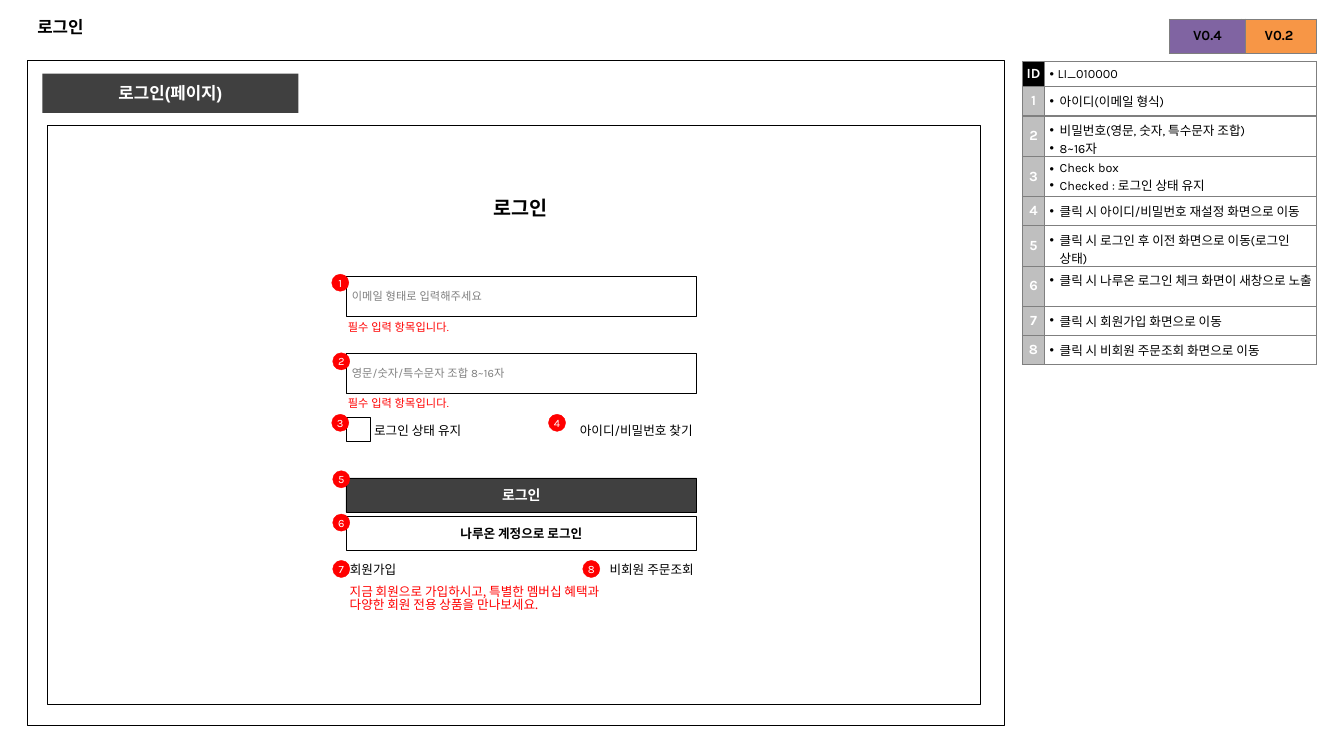
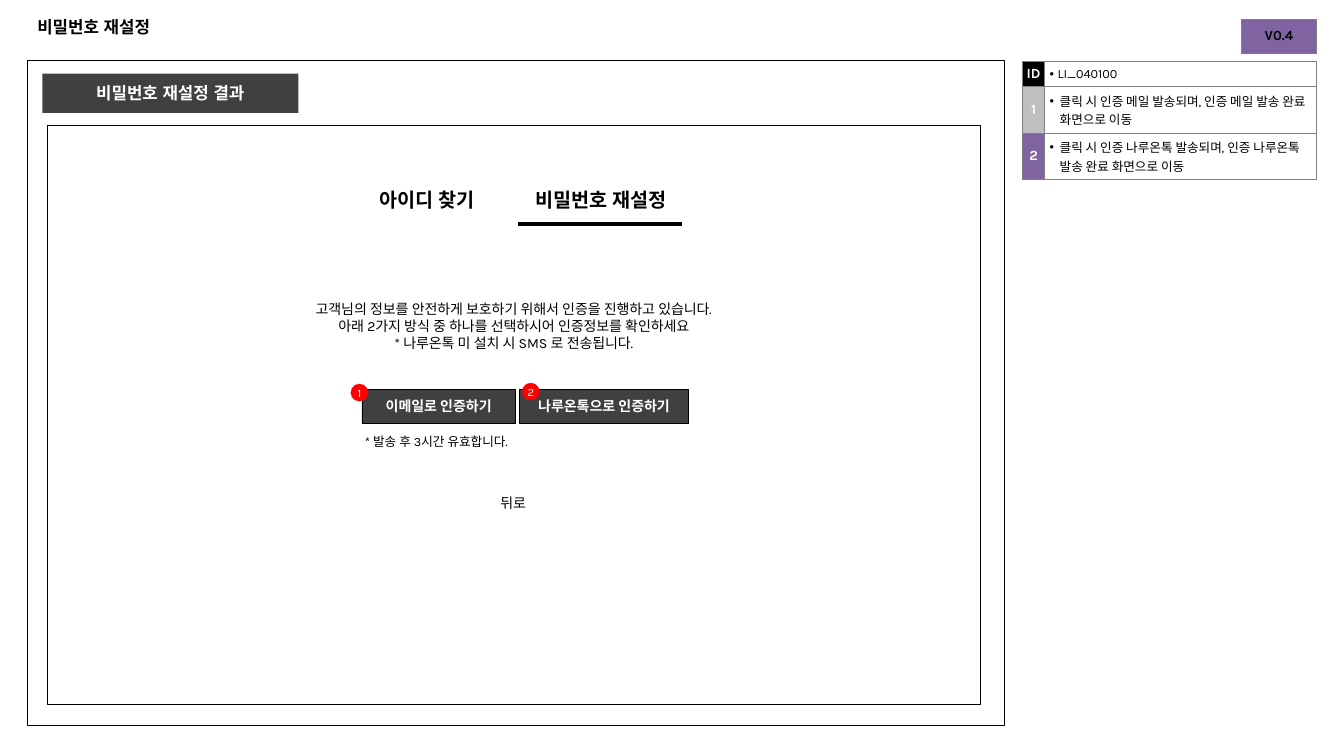
from lxml import etree
from pptx import Presentation
from pptx.dml.color import RGBColor
from pptx.enum.shapes import MSO_CONNECTOR, MSO_SHAPE
from pptx.enum.text import MSO_ANCHOR, MSO_AUTO_SIZE, PP_ALIGN
from pptx.oxml.ns import qn
from pptx.util import Inches, Pt

RECT, OVAL = MSO_SHAPE.RECTANGLE, MSO_SHAPE.OVAL
STRAIGHT = MSO_CONNECTOR.STRAIGHT
LEFT, CENTER, RIGHT = PP_ALIGN.LEFT, PP_ALIGN.CENTER, PP_ALIGN.RIGHT
TOP, MIDDLE = MSO_ANCHOR.TOP, MSO_ANCHOR.MIDDLE

# Palette and fonts
rgb = RGBColor.from_string
BLACK, WHITE, DARK, RED = "000000", "FFFFFF", "404040", "FF0000"
GRAY, SILVER, BORDER = "808080", "BFBFBF", "7F7F7F"
PURPLE, ORANGE = "8064A2", "F79646"
ARIAL, KARLA, NOTO = "Arial", "Karla", "Noto Sans CJK KR"

# Shape styles; a style without a shape is a plain text box
LABEL = dict(size=9, inset=0.04)
BUTTON = dict(shape=RECT, fill=DARK, line=0.25, size=10, color=WHITE, font=NOTO,
              bold=True, align=CENTER, anchor=MIDDLE)
STYLES = {
    "frame": dict(shape=RECT, line=0.75),
    "page": dict(shape=RECT, line=0.25),
    "banner": {**BUTTON, "line": None, "size": 12, "font": ARIAL},
    "heading": dict(size=14, font=ARIAL, bold=True, align=CENTER),
    "field": dict(shape=RECT, line=0.25, size=8, color=GRAY, inset=0.06, anchor=MIDDLE),
    "label": LABEL,
    "label right": {**LABEL, "align": RIGHT},
    "error": {**LABEL, "size": 8, "color": RED},
    "message": {**LABEL, "size": 10, "align": CENTER},
    "promo": dict(size=9, color=RED, font=NOTO, spacing=0.88),
    "button": BUTTON,
    "light button": {**BUTTON, "fill": WHITE, "size": 9, "color": BLACK},
    "tab": {**BUTTON, "fill": WHITE, "line": None, "size": 14, "color": BLACK},
    "badge": dict(shape=OVAL, fill=RED, line=0.25, line_color=RED, size=8,
                  color=WHITE, align=CENTER, anchor=MIDDLE, inset=0),
}

SLIDES = [
    dict(
        title="로그인", banner="로그인(페이지)", id="LI_010000",
        versions=[("V0.2", ORANGE), ("V0.4", PURPLE)],
        # number fill, row height, lines
        notes=[
            (SILVER, 0.29, ["아이디(이메일 형식)"]),
            (SILVER, 0.4, ["비밀번호(영문, 숫자, 특수문자 조합)", "8~16자"]),
            (SILVER, 0.4, ["Check box", "Checked : 로그인 상태 유지"]),
            (SILVER, 0.29, ["클릭 시 아이디/비밀번호 재설정 화면으로 이동"]),
            (SILVER, 0.4, ["클릭 시 로그인 후 이전 화면으로 이동(로그인 상태)"]),
            (SILVER, 0.4, ["클릭 시 나루온 로그인 체크 화면이 새창으로 노출"]),
            (SILVER, 0.29, ["클릭 시 회원가입 화면으로 이동"]),
            (SILVER, 0.29, ["클릭 시 비회원 주문조회 화면으로 이동"]),
        ],
        items=[
            ("heading", 4.22, 1.89, 1.89, 0.34, "로그인"),
            ("field", 3.43, 2.74, 3.48, 0.4, "이메일 형태로 입력해주세요"),
            ("field", 3.43, 3.5, 3.48, 0.4, "영문/숫자/특수문자 조합 8~16자"),
            ("label", 3.67, 4.16, 1.33, 0.26, "로그인 상태 유지"),
            ("page", 3.43, 4.14, 0.24, 0.24, ""),
            ("error", 3.41, 3.14, 1.44, 0.28, "필수 입력 항목입니다."),
            ("error", 3.41, 3.89, 1.44, 0.28, "필수 입력 항목입니다."),
            ("label right", 5.58, 4.16, 1.33, 0.26, "아이디/비밀번호 찾기"),
            ("button", 3.43, 4.74, 3.48, 0.34, "로그인"),
            ("light button", 3.43, 5.12, 3.48, 0.34, "나루온 계정으로 로그인"),
            ("label", 3.43, 5.53, 1.33, 0.26, "회원가입"),
            ("label right", 5.59, 5.53, 1.33, 0.26, "비회원 주문조회"),
            ("promo", 3.37, 5.76, 3.63, 0.4,
             "지금 회원으로 가입하시고, 특별한 멤버십 혜택과\n다양한 회원 전용 상품을 만나보세요."),
        ],
        badges=[(3.29, 2.72), (3.3, 3.5), (3.29, 4.11), (5.44, 4.11),
                (3.3, 4.67), (3.3, 5.1), (3.3, 5.56), (5.78, 5.56)],
        underlines=[],
    ),
    dict(
        title="비밀번호 재설정", banner="비밀번호 재설정 결과", id="LI_040100",
        versions=[("V0.4", PURPLE)],
        notes=[
            (SILVER, 0.46, ["클릭 시 인증 메일 발송되며, 인증 메일 발송 완료 화면으로 이동"]),
            (PURPLE, 0.46, ["클릭 시 인증 나루온톡 발송되며, 인증 나루온톡 발송 완료 화면으로 이동"]),
        ],
        items=[
            ("button", 3.59, 3.86, 1.52, 0.34, "이메일로 인증하기"),
            ("message", 3.35, 4.87, 3.48, 0.31, "뒤로"),
            ("button", 5.15, 3.86, 1.68, 0.34, "나루온톡으로 인증하기"),
            ("label", 3.58, 4.26, 2.33, 0.28, "* 발송 후 3시간 유효합니다."),
            ("message", 2.75, 2.94, 4.69, 0.65,
             "고객님의 정보를 안전하게 보호하기 위해서 인증을 진행하고 있습니다.\v"
             "아래 2가지 방식 중 하나를 선택하시어 인증정보를 확인하세요\n"
             "* 나루온톡 미 설치 시 SMS 로 전송됩니다."),
            ("tab", 3.38, 1.81, 1.71, 0.34, "아이디 찾기"),
            ("tab", 5.09, 1.81, 1.74, 0.34, "비밀번호 재설정"),
        ],
        badges=[(3.48, 3.81), (5.18, 3.8)],
        underlines=[(5.14, 6.76, 2.22)],
    ),
]


def write(tf, text, size, color=BLACK, font=KARLA, bold=False, align=LEFT,
          east_asian=None, spacing=None, indent=None):
    tf.text = text
    for p in tf.paragraphs:
        p.alignment = align
        if spacing:
            p.line_spacing = spacing
        if indent:
            pPr = p._p.get_or_add_pPr()
            pPr.set("marL", str(Inches(indent)))
            pPr.set("indent", str(-Inches(indent)))
            etree.SubElement(pPr, qn("a:buFont")).set("typeface", ARIAL)
            etree.SubElement(pPr, qn("a:buChar")).set("char", "•")
        for r in p.runs:
            r.font.size, r.font.bold, r.font.name = Pt(size), bold, font
            r.font.color.rgb = rgb(color)
            ea = etree.SubElement(r._r.get_or_add_rPr(), qn("a:ea"))
            ea.set("typeface", east_asian or font)


def add_item(s, style, x, y, w, h, text=""):
    st = dict(STYLES[style])
    place = [Inches(v) for v in (x, y, w, h)]
    shape, fill, line = (st.pop(key, None) for key in ("shape", "fill", "line"))
    line_color = st.pop("line_color", BLACK)
    inset, anchor = st.pop("inset", None), st.pop("anchor", TOP)
    if shape is None:
        sp = s.shapes.add_textbox(*place)
    else:
        sp = s.shapes.add_shape(shape, *place)
        sp.shadow.inherit = False
        if fill:
            sp.fill.solid()
            sp.fill.fore_color.rgb = rgb(fill)
        else:
            sp.fill.background()
        if line:
            sp.line.width = Pt(line)
            sp.line.color.rgb = rgb(line_color)
        else:
            sp.line.fill.background()
    if text:
        tf = sp.text_frame
        tf.word_wrap, tf.vertical_anchor = True, anchor
        if inset is not None:
            tf.margin_left = tf.margin_right = Inches(inset)
            tf.margin_top = tf.margin_bottom = Inches(min(inset, 0.04))
        write(tf, text, **st)


prs = Presentation()
prs.slide_width, prs.slide_height = Inches(13.33), Inches(7.5)

for page in SLIDES:
    s = prs.slides.add_slide(prs.slide_layouts[5])

    # Title, frames and banner
    title = s.shapes.title
    title.left, title.top = Inches(0.27), Inches(0.07)
    title.width, title.height = Inches(12.79), Inches(0.39)
    title.text_frame.vertical_anchor = MIDDLE
    title.text_frame.auto_size = MSO_AUTO_SIZE.NONE
    write(title.text_frame, page["title"], 12, font=ARIAL, bold=True)
    add_item(s, "frame", 0.27, 0.6, 9.69, 6.6)
    add_item(s, "page", 0.47, 1.24, 9.25, 5.75)
    add_item(s, "banner", 0.42, 0.73, 2.54, 0.39, page["banner"])

    # Screen mock-up with numbered badges
    for item in page["items"]:
        add_item(s, *item)
    for x1, x2, y in page["underlines"]:
        cn = s.shapes.add_connector(STRAIGHT, Inches(x1), Inches(y), Inches(x2), Inches(y))
        cn.line.width = Pt(3)
        cn.line.color.rgb = rgb(BLACK)
        etree.SubElement(cn._element.spPr, qn("a:effectLst"))
    for number, (x, y) in enumerate(page["badges"], 1):
        add_item(s, "badge", x, y, 0.17, 0.17, str(number))

    # Tables: left, top, column widths, rows of (height, key, key fill, key colour, lines)
    rows = [(0.25, "ID", BLACK, WHITE, [page["id"]])]
    for number, (fill, height, lines) in enumerate(page["notes"], 1):
        rows.append((height, str(number), fill, WHITE, lines))
    tables = [(10.14, 0.61, [0.22, 2.7], rows)]
    for i, (version, fill) in enumerate(page["versions"]):
        tables.append((12.31 - 0.71 * i, 0.19, [0.75], [(0.34, version, fill, BLACK, [])]))

    for x, y, widths, rows in tables:
        tbl = s.shapes.add_table(len(rows), len(widths), Inches(x), Inches(y),
                                 Inches(sum(widths)), Inches(sum(r[0] for r in rows))).table
        tbl.first_row = tbl.horz_banding = False
        for col, width in zip(tbl.columns, widths):
            col.width = Inches(width)
        for row, (height, key, fill, color, lines) in zip(tbl.rows, rows):
            row.height = Inches(height)
            for c, cell in enumerate(row.cells):
                tcPr = cell._tc.get_or_add_tcPr()
                for side in ("a:lnL", "a:lnR", "a:lnT", "a:lnB"):
                    ln = etree.SubElement(tcPr, qn(side), w=str(Pt(1)))
                    solid = etree.SubElement(ln, qn("a:solidFill"))
                    etree.SubElement(solid, qn("a:srgbClr"), val=BORDER)
                margin = Inches(0.05 * c)
                cell.margin_left = cell.margin_right = cell.margin_top = margin
                # Tight two-line rows give up their bottom margin
                cell.margin_bottom = 0 if height == 0.4 else margin
                if c == 0:
                    cell.fill.solid()
                    cell.fill.fore_color.rgb = rgb(fill)
                    cell.vertical_anchor = MIDDLE
                    write(cell.text_frame, key, 10, color, bold=True, align=CENTER)
                else:
                    cell.fill.background()
                    write(cell.text_frame, "\n".join(lines), 9, east_asian=NOTO,
                          indent=0.08 if key == "ID" else 0.1)

prs.save("out.pptx")
